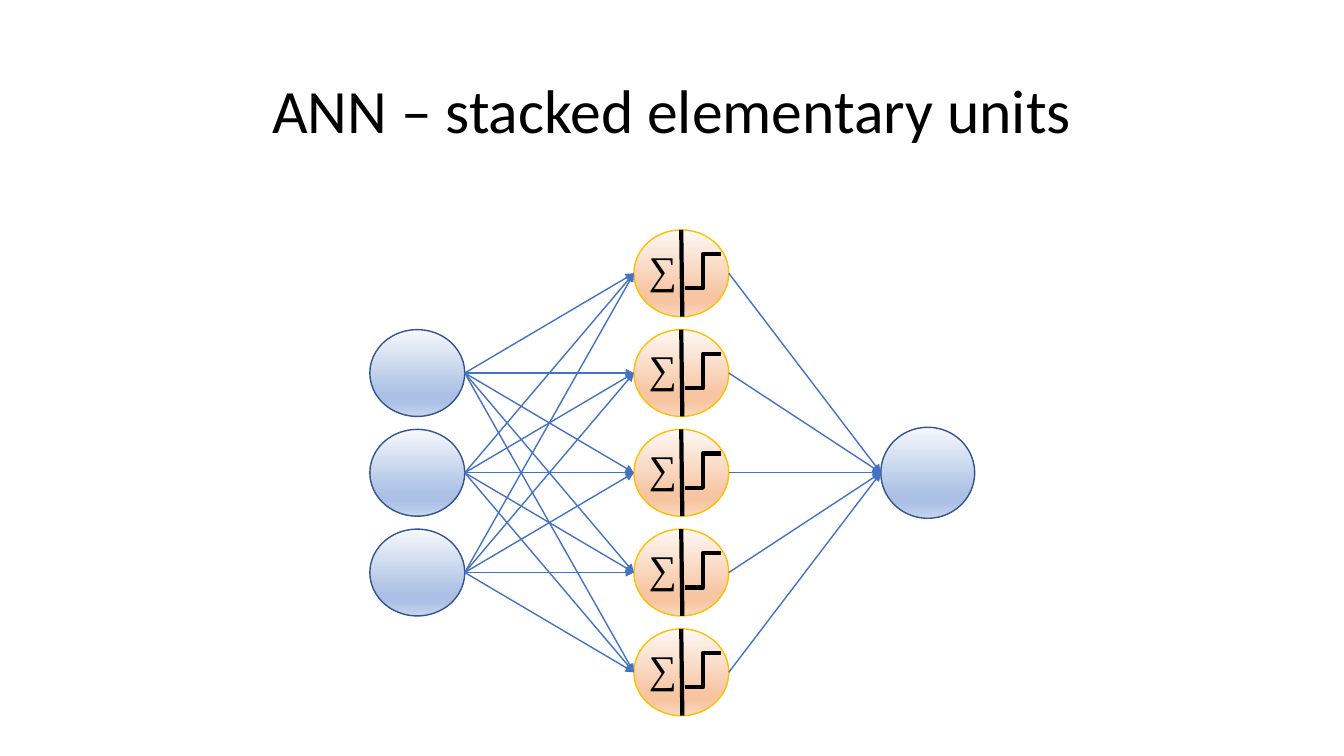
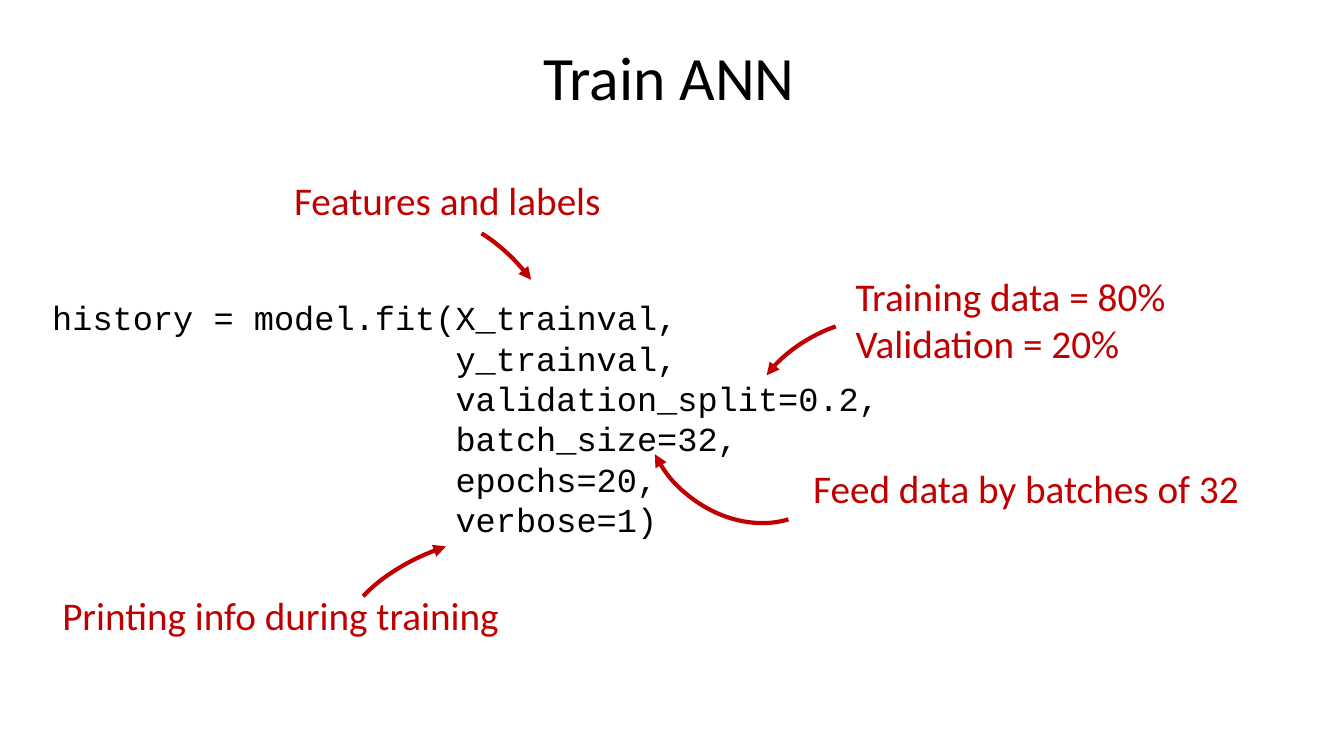
from collections import namedtuple
from dataclasses import dataclass

from lxml import etree
from pptx import Presentation
from pptx.dml.color import RGBColor
from pptx.enum.shapes import MSO_CONNECTOR, MSO_SHAPE
from pptx.enum.text import MSO_ANCHOR, MSO_AUTO_SIZE, PP_ALIGN
from pptx.oxml.ns import qn
from pptx.util import Pt

STRAIGHT, ELBOW = MSO_CONNECTOR.STRAIGHT, MSO_CONNECTOR.ELBOW
ELLIPSE, ARC = MSO_SHAPE.OVAL, MSO_SHAPE.ARC
MIDDLE, NO_AUTOFIT, CENTER = MSO_ANCHOR.MIDDLE, MSO_AUTO_SIZE.NONE, PP_ALIGN.CENTER
TITLE_ONLY = 5


@dataclass(frozen=True)
class Theme:
    """Colours, fonts and sizes shared by the slides."""

    ink: str = "000000"
    accent: str = "C00000"
    link: str = "4472C4"
    blue_line: str = "325491"
    gold_line: str = "FFC000"
    blue_stops: tuple = ("F6F8FC", "ABC0E4", "ABC0E4", "C7D5ED")
    peach_stops: tuple = ("FEF8F5", "F7C5A2", "F7C5A2", "FAD8C1")
    stop_places: tuple = (0, 74, 83, 100)
    font: str = "Calibri"
    code_font: str = "Courier New"
    symbol_font: str = "Times New Roman"
    title_size: int = 44
    note_size: int = 28
    code_size: int = 24
    thin: int = 1
    thick: int = 3


THEME = Theme()


class Box(namedtuple("Box", "left top width height")):
    """A rectangle in points."""

    def inner(self, left, top, width, height):
        """Return a box placed relative to this one."""
        return Box(self.left + left, self.top + top, width, height)

    def point(self, across, down):
        """Return a point placed relative to this box."""
        return self.left + across, self.top + down

    def left_middle(self):
        """Return the middle of the left side."""
        return self.point(0, self.height / 2)

    def right_middle(self):
        """Return the middle of the right side."""
        return self.point(self.width, self.height / 2)

    def lengths(self):
        """Return the four measures as lengths."""
        return [Pt(measure) for measure in self]


def write(frame, lines, *, size=THEME.note_size, font=THEME.font,
          color=THEME.ink, align=None, spacing=None):
    """Fill a text frame with one paragraph for each line."""
    frame.word_wrap = True
    frame.auto_size = NO_AUTOFIT
    for index, line in enumerate(lines):
        para = frame.add_paragraph() if index else frame.paragraphs[0]
        para.alignment = align
        para.line_spacing = spacing
        span = para.add_run()
        span.text = line
        span.font.size = Pt(size)
        span.font.name = font
        span.font.color.rgb = RGBColor.from_string(color)


def add_text(shapes, box, lines, **style):
    """Add a text box."""
    write(shapes.add_textbox(*box.lengths()).text_frame, lines, **style)


def set_line(shape, color, width, arrow=None):
    """Colour an outline and give it an arrowhead at headEnd or tailEnd."""
    shape.line.color.rgb = RGBColor.from_string(color)
    shape.line.width = Pt(width)
    if arrow:
        outline = shape.element.spPr.find(qn("a:ln"))
        etree.SubElement(outline, qn(f"a:{arrow}"), type="triangle")


def add_line(shapes, start, end, color, width, kind=STRAIGHT, arrow=None):
    """Add a connector between two points."""
    line = shapes.add_connector(kind, *(Pt(value) for value in (*start, *end)))
    set_line(line, color, width, arrow)
    etree.SubElement(line.element.spPr, qn("a:effectLst"))


def add_node(page, box, stops, line_color):
    """Add an ellipse with a vertical gradient."""
    node = page.shapes.add_shape(ELLIPSE, *box.lengths())
    node.shadow.inherit = False
    node.fill.gradient()
    node.fill.gradient_angle = 270
    stop_list = node.element.spPr.find(qn("a:gradFill")).find(qn("a:gsLst"))
    for stop in list(stop_list):
        stop_list.remove(stop)
    for place, color in zip(THEME.stop_places, stops):
        stop = etree.SubElement(stop_list, qn("a:gs"), pos=str(place * 1000))
        etree.SubElement(stop, qn("a:srgbClr"), val=color)
    set_line(node, line_color, THEME.thin)


def add_unit_symbol(page, box):
    """Draw the sum and step signs inside a hidden unit."""
    shapes = page.shapes.add_group_shape().shapes
    add_text(shapes, box.inner(3.6, 7.2, 61.2, 34.6), ["∑"], font=THEME.symbol_font)
    add_line(shapes, box.point(36.7, 41.8), box.point(61.9, 17.3),
             THEME.ink, THEME.thick, ELBOW)
    add_line(shapes, box.point(33.8, 0), box.point(34.6, box.height),
             THEME.ink, THEME.thick)


def add_network(page, box):
    """Draw three inputs, five hidden units and one output."""
    width, height = 67.8, 62
    pitch = (box.height - height) / 4
    inputs = [box.inner(0, row * pitch, width, height) for row in (1, 2, 3)]
    hidden = [box.inner(188.6, row * pitch, width, height) for row in range(5)]
    output = box.inner(box.width - 67, (box.height - 65) / 2, 67, 65)
    for node in (*inputs, output):
        add_node(page, node, THEME.blue_stops, THEME.blue_line)
    for unit in hidden:
        add_node(page, unit, THEME.peach_stops, THEME.gold_line)
    links = [(source, unit) for source in inputs for unit in hidden]
    links += [(unit, output) for unit in hidden]
    for source, target in links:
        add_line(page.shapes, source.right_middle(), target.left_middle(),
                 THEME.link, THEME.thin, arrow="tailEnd")
    for unit in hidden:
        add_unit_symbol(page, unit)


def add_arc(page, box, rotation, start, end, arrow):
    """Add a curved arrow that runs between two angles in degrees."""
    arc = page.shapes.add_shape(ARC, *box.lengths())
    arc.shadow.inherit = False
    arc.fill.background()
    arc.rotation = rotation
    for index, degrees in enumerate((start, end)):
        arc.adjustments[index] = degrees * 0.6
    set_line(arc, THEME.accent, THEME.thick, arrow)


def add_annotated_code(page, box):
    """Place the code with its notes and curved arrows."""
    arguments = ["y_trainval,", "validation_split=0.2,", "batch_size=32,",
                 "epochs=20,", "verbose=1)"]
    call = "history = model.fit("
    code = [call + "X_trainval,"] + [" " * len(call) + item for item in arguments]
    add_text(page.shapes, box.inner(0, 86.4, box.width, 181.4), code,
             size=THEME.code_size, font=THEME.code_font)
    notes = [
        ((172.8, 0, 400, 41), ["Features and labels"]),
        ((543.6, 206, 337, 41), ["Feed data by batches of 32"]),
        ((7.2, 296.6, 347, 41), ["Printing info during training"]),
        ((573.8, 68.4, 337, 75), ["Training data = 80%", "Validation = 20%"]),
    ]
    for place, lines in notes:
        add_text(page.shapes, box.inner(*place), lines, color=THEME.accent)
    arcs = [
        ((290.9, 25.2, 69.1, 156.2), 324.7, 294.1, 347.98, "tailEnd"),
        ((439.2, 109.4, 121, 150.5), 128.4, 294.1, 36, "tailEnd"),
        ((261.4, 213.8, 102.2, 200.2), 254.4, 292.73, 347.98, "tailEnd"),
        ((534.3, 85.7, 56.9, 115.9), 240.9, 296.56, 36, "headEnd"),
    ]
    for place, *curve in arcs:
        add_arc(page, box.inner(*place), *curve)


def add_page(deck, title, box):
    """Add a slide with a centred title."""
    page = deck.slides.add_slide(deck.slide_layouts[TITLE_ONLY])
    holder = page.shapes.title
    holder.left, holder.top, holder.width, holder.height = box.lengths()
    holder.text_frame.vertical_anchor = MIDDLE
    write(holder.text_frame, [title], size=THEME.title_size,
          align=CENTER, spacing=0.9)
    return page


def main():
    """Build and save the deck."""
    deck = Presentation()
    deck.slide_width, deck.slide_height = Pt(960), Pt(540)
    network_page = add_page(deck, "ANN – stacked elementary units",
                            Box(66, 28.8, 828, 104.4))
    add_network(network_page, Box(264.2, 164.2, 432, 347))
    code_page = add_page(deck, "Train ANN", Box(64, 5, 828, 104.4))
    add_annotated_code(code_page, Box(30.2, 122.4, 915, 380))
    deck.save("out.pptx")


if __name__ == "__main__":
    main()
